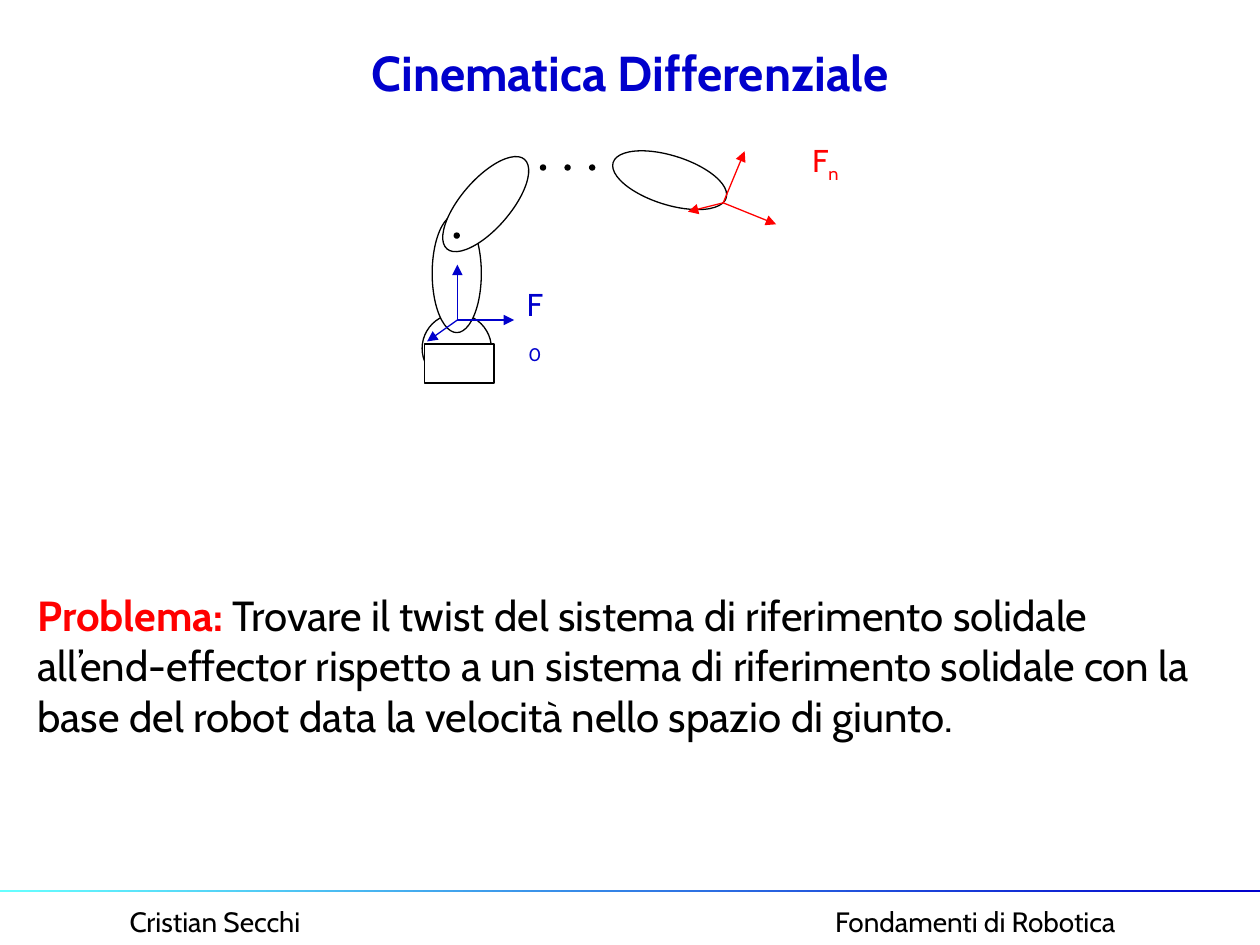
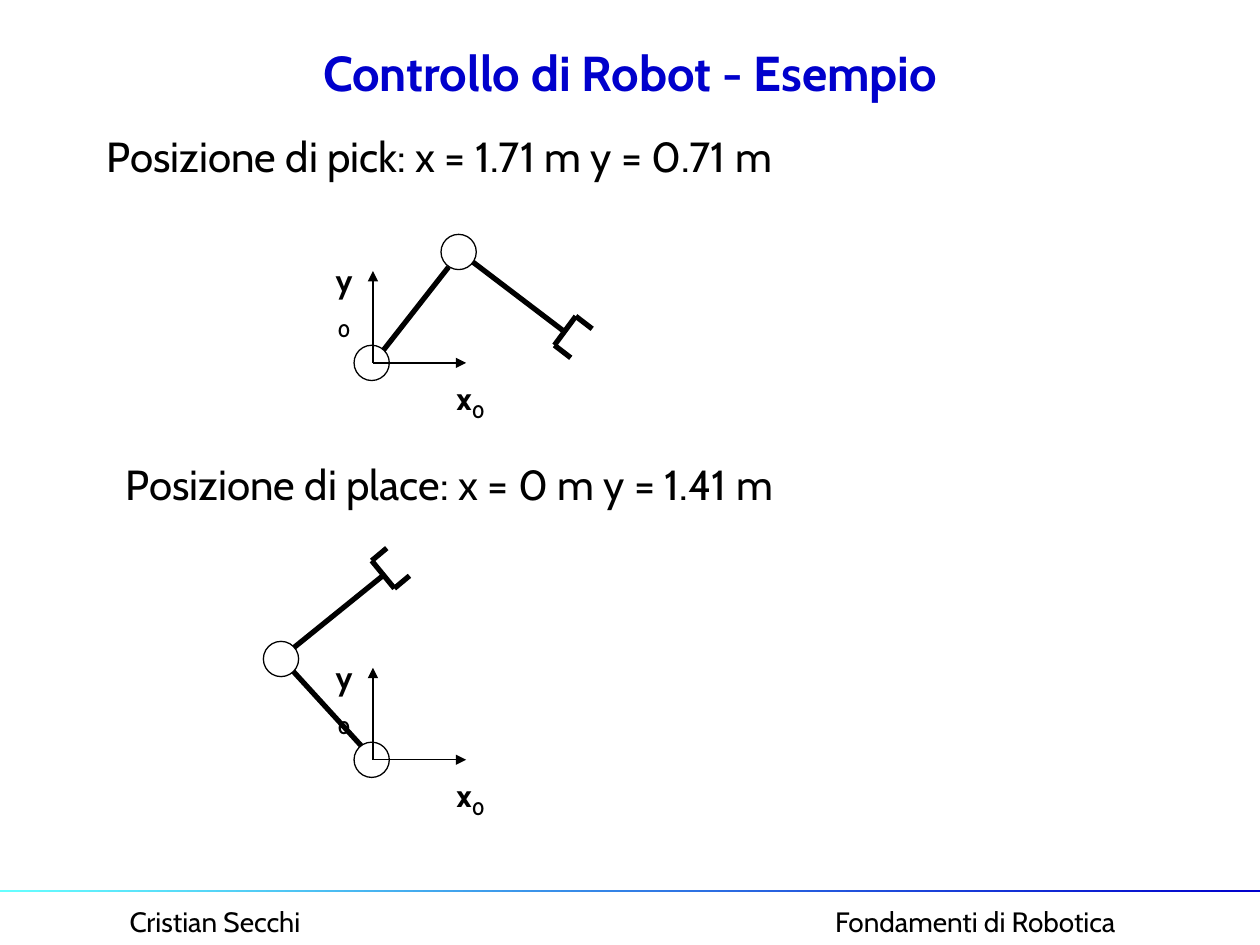
from dataclasses import dataclass
from lxml import etree
from pptx import Presentation
from pptx.dml.color import RGBColor
from pptx.enum.shapes import MSO_CONNECTOR, MSO_SHAPE
from pptx.enum.text import MSO_ANCHOR, PP_ALIGN
from pptx.oxml.ns import qn
from pptx.util import Emu, Inches, Pt

WIDTH, HEIGHT = Inches(10), Inches(7.5)
COLUMN, ROW = WIDTH / 100, HEIGHT / 75
FONT = "Cabin"
BLUE, CYAN, RED, BLACK, WHITE = "0000CC", "66FFFF", "FF0000", "000000", "FFFFFF"


@dataclass
class Region:
    """A part of a slide with its origin in grid columns and rows."""
    slide: object
    left: float = 0
    top: float = 0

    def point(self, x, y):
        """Turn a grid position in the region into slide lengths."""
        return Emu(round((self.left + x) * COLUMN)), Emu(round((self.top + y) * ROW))

    def box(self, x, y, width, height):
        """Turn a grid box in the region into slide lengths."""
        return *self.point(x, y), Emu(round(width * COLUMN)), Emu(round(height * ROW))


def color(value):
    """Return the colour for a hex string."""
    return RGBColor.from_string(value)


def format_font(font, size, value, bold=False):
    """Apply the deck's typeface with a size and a colour."""
    font.name, font.size, font.bold = FONT, Pt(size), bold
    font.color.rgb = color(value)


def add_shape(region, kind, box, fill=WHITE, rotation=0):
    """Draw a filled shape with a thin black outline."""
    shape = region.slide.shapes.add_shape(kind, *region.box(*box))
    shape.shadow.inherit = False
    shape.rotation = rotation
    shape.fill.solid()
    shape.fill.fore_color.rgb = color(fill)
    shape.line.color.rgb = color(BLACK)
    shape.line.width = Pt(0.75)
    return shape


def add_circle(region, center, diameter, fill=WHITE):
    """Draw a circle around a grid position."""
    left, top = (value - diameter / 2 for value in center)
    add_shape(region, MSO_SHAPE.OVAL, (left, top, diameter, diameter), fill)


def add_line(region, start, end, value=BLACK, width=3, arrow=False):
    """Draw a straight line, with an arrowhead at its end if asked."""
    connector = region.slide.shapes.add_connector(
        MSO_CONNECTOR.STRAIGHT, *region.point(*start), *region.point(*end))
    connector.line.color.rgb = color(value)
    connector.line.width = Pt(width)
    properties = connector._element.spPr
    if arrow:
        etree.SubElement(properties.find(qn("a:ln")), qn("a:tailEnd"), type="triangle")
    etree.SubElement(properties, qn("a:effectLst"))


def add_frame(region, origin, axes, value):
    """Draw the arrows of a reference frame from its origin."""
    for across, down in axes:
        end = origin[0] + across, origin[1] + down
        add_line(region, origin, end, value, 0.75, arrow=True)


def add_text(region, box, runs, size, wrap=True, align=PP_ALIGN.LEFT):
    """Write one paragraph of (text, colour, bold) runs."""
    text_frame = region.slide.shapes.add_textbox(*region.box(*box)).text_frame
    text_frame.word_wrap = wrap
    paragraph = text_frame.paragraphs[0]
    paragraph.alignment = align
    for text, value, bold in runs:
        run = paragraph.add_run()
        run.text = text
        format_font(run.font, size, value, bold)
    return paragraph


def add_axis_label(region, box, letter, index, value, bold=False, stacked=False):
    """Write a letter with a subscript, which drops a line in a narrow box."""
    runs = [(letter, value, bold), (index, value, bold)]
    paragraph = add_text(region, box, runs, 18, stacked, PP_ALIGN.CENTER)
    paragraph.runs[1].font._element.set("baseline", "-25000")


def add_footer(region):
    """Draw the gradient band and the two footer texts."""
    band = add_shape(region, MSO_SHAPE.RECTANGLE, (0, 0, 100, 0.2))
    band.line.fill.background()
    band.fill.gradient()
    band.fill.gradient_angle = 180
    for stop, value in zip(band.fill.gradient_stops, (BLUE, CYAN)):
        stop.color.rgb = color(value)
    for left, text in ((9.3, "Cristian Secchi"), (65.3, "Fondamenti di Robotica")):
        add_text(region, (left, 0.7, 30, 3.7), [(text, BLACK, False)], 16)


def add_titled_slide(presentation, title):
    """Add a slide with the shared title style and footer."""
    slide = presentation.slides.add_slide(presentation.slide_layouts[5])
    add_footer(Region(slide, 0, 70.6))
    shape = slide.shapes.title
    shape.left, shape.top, shape.width, shape.height = Region(slide).box(5, 3, 90, 5.4)
    shape.text_frame.text = title
    shape.text_frame.vertical_anchor = MSO_ANCHOR.MIDDLE
    paragraph = shape.text_frame.paragraphs[0]
    paragraph.alignment = PP_ALIGN.CENTER
    format_font(paragraph.runs[0].font, 28, BLUE, True)
    return slide


def add_serial_robot(region):
    """Draw the chain of links with its base and end-effector frames."""
    add_circle(region, (3.25, 18.65), 5.5)
    add_shape(region, MSO_SHAPE.RECTANGLE, (0.7, 18.3, 5.5, 3.1))
    for left, top, rotation in ((1.3, 8, 0), (3.6, 2.5, 40.9), (18.2, 0.6, 107.4)):
        add_shape(region, MSO_SHAPE.OVAL, (left, top, 3.9, 9.4), rotation=rotation)
    ellipsis_dots = [(10.1 + 1.95 * step, 4.3) for step in range(3)]
    for center in ellipsis_dots + [(3.25, 9.7)]:
        add_circle(region, center, 0.4, BLACK)
    add_frame(region, (3.3, 16.4), ((0, -4.4), (4.5, 0), (-2.4, 1.7)), BLUE)
    add_frame(region, (24.4, 7.1), ((1.7, -4.1), (4.2, 1.7), (-2.8, 0.7)), RED)
    add_axis_label(region, (7.6, 13.1, 3.7, 4.4), "F", "0", BLUE, stacked=True)
    add_axis_label(region, (30.4, 1.7, 4.2, 4.4), "F", "n", RED)


def add_planar_arm(region, elbow, links, palm, finger):
    """Draw a two-link arm with its gripper and base axes."""
    add_axis_label(region, (15.2, 11.6, 4.3, 4.4), "x", "0", BLACK, bold=True)
    add_axis_label(region, (5.4, 2.2, 3.8, 4.4), "y", "0", BLACK, True, stacked=True)
    for start, end in (*links, palm):
        add_line(region, start, end)
    for x, y in palm:
        add_line(region, (x, y), (x + finger[0], y + finger[1]))
    for joint in (elbow, (9.5, 10.8)):
        add_circle(region, joint, 2.8)
    add_frame(region, (9.6, 10.8), ((0, -7.3), (7.4, 0)), BLACK)


def build_kinematics_slide(presentation):
    """Build the slide that states the differential kinematics problem."""
    slide = add_titled_slide(presentation, "Cinematica Differenziale")
    add_serial_robot(Region(slide, 33, 9))
    problem = (
        "Trovare il twist del sistema di riferimento solidale all’end-effector "
        "rispetto a un sistema di riferimento solidale con la base del robot "
        "data la velocità nello spazio di giunto.")
    add_text(Region(slide, 2, 46.3), (0, 0, 95.3, 17),
             [("Problema: ", RED, True), (problem, BLACK, False)], 24)


def build_example_slide(presentation):
    """Build the slide with the pick and place poses."""
    slide = add_titled_slide(presentation, "Controllo di Robot - Esempio")
    captions = (
        (7.5, 9.9, "Posizione di pick: x = 1.71 m y = 0.71 m"),
        (9, 35.9, "Posizione di place: x = 0 m y = 1.41 m"))
    for left, top, text in captions:
        add_text(Region(slide, left, top), (0, 0, 62, 5), [(text, BLACK, False)], 24)
    add_planar_arm(
        Region(slide, 20, 18), elbow=(16.4, 2),
        links=(((9.8, 10.6), (15.6, 3.2)), ((17.4, 2.7), (24.9, 8.4))),
        palm=((25.7, 7.1), (24, 9.4)), finger=(1.3, 1))
    add_planar_arm(
        Region(slide, 20, 49.5), elbow=(2.3, 2.8),
        links=(((9.5, 10.6), (3.2, 3.7)), ((3.2, 2), (10.5, -3.9))),
        palm=((9.5, -5), (11.3, -2.8)), finger=(1.2, -1))


def main():
    """Build and save the presentation."""
    presentation = Presentation()
    presentation.slide_width, presentation.slide_height = WIDTH, HEIGHT
    build_kinematics_slide(presentation)
    build_example_slide(presentation)
    presentation.save("out.pptx")


if __name__ == "__main__":
    main()
